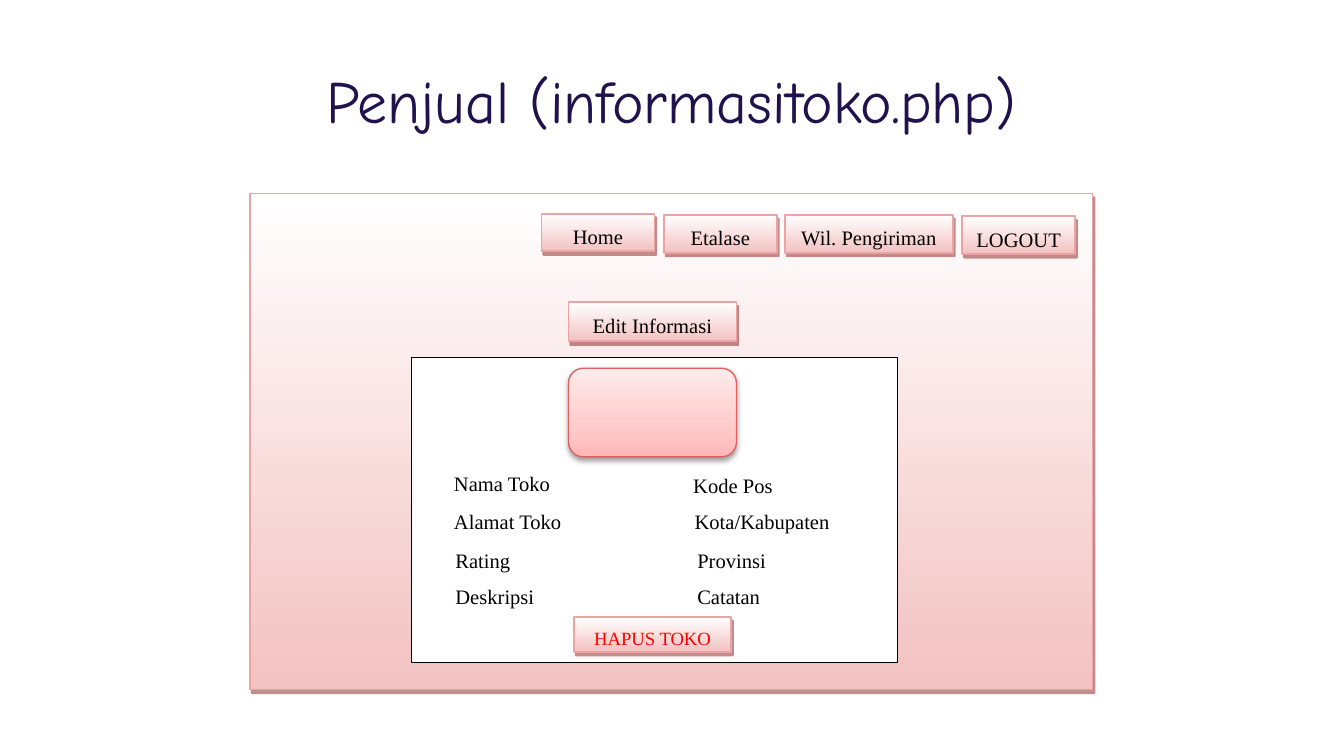
from dataclasses import dataclass
from lxml.etree import SubElement as Sub
from pptx import Presentation
from pptx.dml.color import RGBColor as Rgb
from pptx.enum.shapes import MSO_SHAPE as Kind
from pptx.enum.text import MSO_ANCHOR as Anchor, PP_ALIGN as Align
from pptx.oxml.ns import qn
from pptx.util import Pt

PX = 9144


@dataclass(frozen=True)
class Theme:
    head: str = "20124D"
    ink: str = "000000"
    alert: str = "FF0000"
    paper: str = "FFFFFF"
    edge: str = "ECA3A3"
    rim: str = "DE6161"
    pink: tuple = ((0, "FFFFFF"), (100, "F3C2C2"))
    rose: tuple = ((0, "FFEBEB"), (65, "FFCCCC"), (100, "FFB7B7"))
    hard: tuple = ("881B1B", 50, 0, 2.2, 63)
    soft: tuple = ("000000", 38, 3.1, 1.6, 90)
    title: int = 32
    body: int = 11
    small: int = 10
    hand: str = "Comic Neue"
    serif: str = "Times New Roman"


T = Theme()


def write(shape, text, size=T.body, font=T.serif, color=T.ink,
          align=Align.LEFT, anchor=Anchor.TOP, space=1.15, after=10):
    frame = shape.text_frame
    frame.word_wrap = True
    frame.vertical_anchor = anchor
    para = frame.paragraphs[0]
    para.alignment = align
    para.line_spacing = space
    para.space_after = Pt(after)
    run = para.add_run()
    run.text = text
    run.font.size = Pt(size)
    run.font.name = font
    run.font.color.rgb = Rgb.from_string(color)
    return frame


def label(slide, box, text, **style):
    return write(slide.shapes.add_textbox(*(v * PX for v in box)), text, **style)


def shade(shape, stops):
    shape.fill.gradient()
    shape.fill.gradient_angle = 270
    ramp = next(shape._element.spPr.iter(qn("a:gsLst")))
    for stop in list(ramp):
        ramp.remove(stop)
    for pos, color in stops:
        stop = Sub(ramp, qn("a:gs"), pos=str(pos * 1000))
        Sub(stop, qn("a:srgbClr"), val=color)


def cast(shape, color, alpha, blur, dist, angle):
    effects = shape._element.spPr.find(qn("a:effectLst"))
    drop = Sub(effects, qn("a:outerShdw"), blurRad=str(Pt(blur)),
               dist=str(Pt(dist)), dir=str(angle * 60000),
               algn="ctr", rotWithShape="0")
    tint = Sub(drop, qn("a:srgbClr"), val=color)
    Sub(tint, qn("a:alpha"), val=str(alpha * 1000))


def block(slide, box, kind=Kind.RECTANGLE, stops=T.pink, line=T.edge,
          width=1, shadow=T.hard):
    shape = slide.shapes.add_shape(kind, *(v * PX for v in box))
    shape.shadow.inherit = False
    if stops:
        shade(shape, stops)
    else:
        shape.fill.solid()
        shape.fill.fore_color.rgb = Rgb.from_string(T.paper)
    shape.line.color.rgb = Rgb.from_string(line)
    shape.line.width = Pt(width)
    if shadow:
        cast(shape, *shadow)
    return shape


def button(slide, box, text, **style):
    write(block(slide, box), text, align=Align.CENTER, **style)


def title(slide, box):
    frame = label(slide, box, "Penjual (informasitoko.php)", size=T.title,
                  font=T.hand, color=T.head, align=Align.CENTER,
                  anchor=Anchor.MIDDLE, space=0.8, after=0)
    frame.margin_top = frame.margin_bottom = 10 * PX


def menu(slide, box):
    left, top, _, high = box
    items = (("Home", 0, 0, 84), ("Etalase", 91, 1, 84),
             ("Wil. Pengiriman", 181, 1, 125), ("LOGOUT", 313, 2, 84))
    for text, x, y, wide in items:
        button(slide, (left + x, top + y, wide, high), text)


def card(slide, box):
    left, top, wide, high = box
    block(slide, box, stops=None, line=T.ink, width=0.75, shadow=None)
    block(slide, (left + 117, top + 8, 125, 66), kind=Kind.ROUNDED_RECTANGLE,
          stops=T.rose, line=T.rim, width=0.75, shadow=T.soft)
    rows = (("Nama Toko", 22, 77, "Kode Pos", 200, 78),
            ("Alamat Toko", 22, 105, "Kota/Kabupaten", 201, 105),
            ("Rating", 23, 134, "Provinsi", 203, 134),
            ("Deskripsi", 23, 161, "Catatan", 203, 161))
    for row in rows:
        for text, x, y in (row[:3], row[3:]):
            label(slide, (left + x, top + y, 133, 28), text)
    button(slide, (left + 121, top + 193, 117, 26), "HAPUS TOKO",
           size=T.small, color=T.alert)


def panel(slide, box):
    left, top, wide, high = box
    block(slide, box)
    menu(slide, (left + 217, top + 15, 397, 28))
    button(slide, (left + 237, top + 81, 125, 29), "Edit Informasi")
    card(slide, (left + 120, top + 122, 362, 227))


def main():
    deck = Presentation()
    deck.slide_width = 1000 * PX
    deck.slide_height = deck.slide_width * 9 // 16
    slide = deck.slides.add_slide(deck.slide_layouts[6])
    title(slide, (78, 48, 844, 63))
    panel(slide, (186, 144, 627, 369))
    deck.save("out.pptx")


if __name__ == "__main__":
    main()
